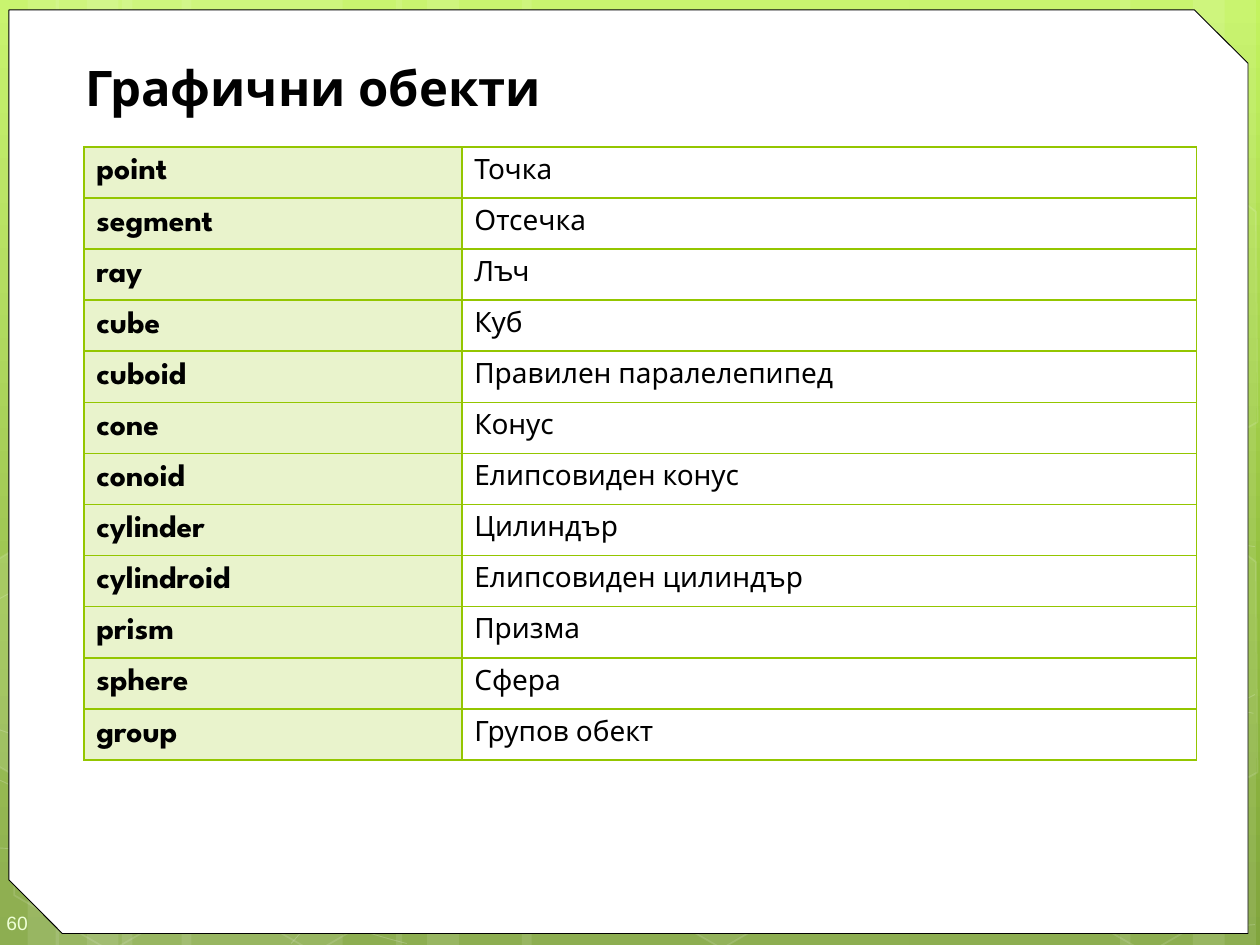
from lxml import etree
from pptx import Presentation
from pptx.dml.color import RGBColor
from pptx.enum.shapes import MSO_SHAPE
from pptx.enum.text import MSO_ANCHOR, MSO_AUTO_SIZE, PP_ALIGN
from pptx.oxml.ns import qn
from pptx.util import Cm, Pt

RECT, HEX, SNIP = MSO_SHAPE.RECTANGLE, MSO_SHAPE.HEXAGON, MSO_SHAPE.SNIP_2_DIAG_RECTANGLE
TOP, MID = MSO_ANCHOR.TOP, MSO_ANCHOR.MIDDLE
LEFT, FIXED = PP_ALIGN.LEFT, MSO_AUTO_SIZE.NONE

# Content
TITLE = "Графични обекти"
PAGE = "60"
ROWS = [
    ("point", "Точка"),
    ("segment", "Отсечка"),
    ("ray", "Лъч"),
    ("cube", "Куб"),
    ("cuboid", "Правилен паралелепипед"),
    ("cone", "Конус"),
    ("conoid", "Елипсовиден конус"),
    ("cylinder", "Цилиндър"),
    ("cylindroid", "Елипсовиден цилиндър"),
    ("prism", "Призма"),
    ("sphere", "Сфера"),
    ("group", "Групов обект"),
]

THEME = {
    "font": "League Spartan", "num_font": "Arial",
    "title": 28, "term": 18, "text": 16, "num": 11,
    "ink": "000000", "paper": "FFFFFF", "green": "94C600", "pale": "EEFFD6",
    "back": [(0, "C3F35F"), (62, "93BF3F"), (100, "81A53E")],
}

# Backdrop, in cm
BANDS = [  # left, width
    (2.46, 4.45), (-0.08, 1.27), (0.56, 2.11), (3.66, 4.45), (1.12, 1.27), (1.75, 2.11),
    (18.34, 4.45), (24.05, 1.27), (22.58, 2.11), (10.52, 7.82), (7.98, 1.27), (8.61, 2.11),
]
HEXES = [  # left, top, fill opacity, line opacity
    (8.26, 7.95, 10, 12), (10.26, 11.46, 0, 12), (10.29, 4.42, 7, 8), (8.2, 0.91, 4, 8),
    (12.32, 14.96, 6, 12), (0, 15.01, 0, 12), (0.08, 7.92, 7, 8), (2.08, 11.46, 0, 12),
    (4.11, 15.04, 0, 12), (4.19, 7.95, 7, 8), (2.13, 4.34, 0, 12), (18.85, 11.51, 10, 12),
    (20.9, 15.06, 0, 12), (20.9, 7.98, 7, 8),
]
EDGE = [(23.24, 12.32), (25.15, 11.2), (25.32, 11.33), (25.35, 15.57), (25.17, 15.67),
        (23.22, 14.55)]
CUT = [  # hexagons cut by the slide edge: points, fill opacity
    ([(-0.08, 11.3), (0.2, 11.13), (2.16, 12.24), (2.13, 14.48), (0.23, 15.6),
      (-0.08, 15.42)], 10),
    (EDGE, 4),
    ([(x, y - 7.06) for x, y in EDGE], 0),
]
CURVES = [  # start, then three Bezier points per piece
    [(-0.1, 17.09), (1.27, 17.17), (2.64, 17.25), (4.55, 17.22), (6.45, 17.2), (8.79, 17.15),
     (11.35, 16.89), (13.89, 16.64), (17.5, 16.15), (19.81, 15.67), (22.15, 15.19),
     (24.54, 14.43), (25.3, 14)],
    [(-0.1, 12.12), (0.64, 11.71), (1.37, 11.33), (2.79, 10.95), (4.24, 10.57), (6.27, 10.01),
     (8.53, 9.83), (10.8, 9.65), (13.54, 9.63), (16.33, 9.83), (19.13, 10.03),
     (23.77, 10.82), (25.3, 11.02)],
    [(-0.13, 15.67), (2.92, 17.07), (5.99, 18.47), (8.2, 19.02)],
    [(-0.1, 14.68), (0.69, 14.96), (1.5, 15.24), (2.97, 15.65), (4.45, 16.03), (6.65, 16.66),
     (8.76, 17.09), (10.9, 17.53), (13.56, 17.98), (15.67, 18.24), (17.75, 18.52),
     (20.04, 18.62), (21.36, 18.69), (22.71, 18.8), (23.06, 18.75), (23.72, 18.75),
     (24.36, 18.72), (24.84, 18.67), (25.3, 18.64)],
    [(5.87, 19.02), (6.32, 18.52), (6.78, 18.01), (7.39, 17.55), (8, 17.09), (8.86, 16.59),
     (9.55, 16.23), (10.26, 15.88), (10.72, 15.72), (11.63, 15.47), (12.57, 15.21),
     (14.27, 14.86), (15.16, 14.68), (16.05, 14.5), (16.21, 14.5), (16.99, 14.45),
     (17.78, 14.35), (19.02, 14.3), (19.89, 14.27), (20.75, 14.25), (22.23, 14.27),
     (22.23, 14.27), (22.78, 14.27), (23.34, 14.27), (23.9, 14.27), (24.38, 14.3),
     (24.82, 14.33), (25.04, 14.35), (25.25, 14.38), (25.17, 14.35), (25.27, 14.38)],
]


def rgb(name):
    return RGBColor.from_string(THEME.get(name, name))


def fade(node, pct):
    """Set the opacity of the solid fill directly inside node."""
    tone = node.find(qn("a:solidFill"))[0]
    etree.SubElement(tone, qn("a:alpha")).set("val", str(pct * 1000))


def veil(shape, fill=0, line=0, width=1):
    """Paint a shape in see-through white; 0 means none."""
    shape.shadow.inherit = False
    props = shape.element.spPr
    if fill:
        shape.fill.solid()
        shape.fill.fore_color.rgb = rgb("paper")
        fade(props, fill)
    else:
        shape.fill.background()
    if line:
        shape.line.color.rgb = rgb("paper")
        shape.line.width = Pt(width)
        fade(props.find(qn("a:ln")), line)
    else:
        shape.line.fill.background()


def trace(shapes, points, close):
    pts = [(Cm(x), Cm(y)) for x, y in points]
    pen = shapes.build_freeform(*pts[0])
    pen.add_line_segments(pts[1:], close=close)
    return pen.convert_to_shape()


def bend(shape):
    """Turn every three straight segments into one Bezier piece."""
    legs = list(shape.element.iter(qn("a:lnTo")))
    for i in range(0, len(legs), 3):
        piece = etree.Element(qn("a:cubicBezTo"))
        legs[i].addprevious(piece)
        for leg in legs[i:i + 3]:
            piece.append(leg[0])
            leg.getparent().remove(leg)
    return shape


def write(frame, text, size, bold=False, font="font", tone="ink"):
    frame.text = text
    para = frame.paragraphs[0]
    para.alignment = LEFT
    para.font.name = THEME[font]
    para.font.size = Pt(THEME[size])
    para.font.bold = bold
    para.font.color.rgb = rgb(tone)


def border(cell):
    props = cell._tc.get_or_add_tcPr()
    for i, side in enumerate(("a:lnL", "a:lnR", "a:lnT", "a:lnB")):
        line = etree.Element(qn(side), w=str(Pt(1)))
        fill = etree.SubElement(line, qn("a:solidFill"))
        etree.SubElement(fill, qn("a:srgbClr"), val=THEME["green"])
        props.insert(i, line)


def main():
    deck = Presentation()
    deck.slide_width, deck.slide_height = Cm(25.4), Cm(19.05)
    layout = deck.slide_layouts[5]
    slide = deck.slides.add_slide(layout)
    shapes = slide.shapes

    # Background gradient, with a third stop in the middle
    fill = slide.background.fill
    fill.gradient()
    fill.gradient_angle = 270
    first, mid, last = THEME["back"]
    for stop, (pos, tone) in zip(fill.gradient_stops, (first, last)):
        stop.position, stop.color.rgb = pos / 100, rgb(tone)
    stop = etree.Element(qn("a:gs"), pos=str(mid[0] * 1000))
    etree.SubElement(stop, qn("a:srgbClr"), val=mid[1])
    slide.element.find(".//" + qn("a:gsLst")).insert(1, stop)

    # Bands, curves and hexagons
    for x, w in BANDS:
        veil(shapes.add_shape(RECT, Cm(x), 0, Cm(w), deck.slide_height), 10)
    for curve in CURVES:
        veil(bend(trace(shapes, curve, False)), line=20, width=0.5)
    for x, y, tint, edge in HEXES:
        comb = shapes.add_shape(HEX, Cm(x), Cm(y), Cm(4.45), Cm(3.86))
        comb.adjustments[0], comb.rotation = 0.285, 30
        veil(comb, tint, edge)
    for points, tint in CUT:
        veil(trace(shapes, points, True), tint, 12)

    # White card
    card = shapes.add_shape(SNIP, Cm(0.18), Cm(0.2), Cm(24.98), Cm(18.62))
    card.adjustments[0], card.adjustments[1] = 0, 0.058
    card.shadow.inherit = False
    card.fill.solid()
    card.fill.fore_color.rgb = rgb("paper")
    card.line.color.rgb = rgb("ink")
    card.line.width = Pt(0.5)

    # The backdrop belongs to the layout, under ids of its own
    title = shapes.title
    decor = [s for s in shapes if not s.is_placeholder]
    for num, shape in enumerate(decor, 100):
        shape.element.nvSpPr.cNvPr.set("id", str(num))
        layout.shapes.element.append(shape.element)

    # Page number
    box = shapes.add_textbox(0, Cm(18.03), Cm(1.47), Cm(1.02))
    frame = box.text_frame
    frame.word_wrap, frame.vertical_anchor = True, MID
    frame.margin_left, frame.margin_right = Cm(0.13), 0
    frame.margin_top, frame.margin_bottom = Cm(0.38), Cm(0.25)
    write(frame, PAGE, "num", font="num_font", tone="pale")

    # Title
    title.left, title.top, title.width, title.height = Cm(1.27), Cm(1.04), Cm(23.93), Cm(17.81)
    frame = title.text_frame
    frame.auto_size, frame.vertical_anchor = FIXED, TOP
    frame.margin_left = Cm(0.45)
    write(frame, TITLE, "title", bold=True)

    # Table of terms
    grid = shapes.add_table(len(ROWS), 2, Cm(1.69), Cm(2.96), Cm(22.43), Cm(12.37)).table
    grid.first_row = grid.horz_banding = False
    grid.columns[0].width, grid.columns[1].width = Cm(7.62), Cm(14.81)
    for r, (term, text) in enumerate(ROWS):
        name, note = grid.cell(r, 0), grid.cell(r, 1)
        write(name.text_frame, term, "term", bold=True)
        write(note.text_frame, text, "text")
        name.fill.solid()
        name.fill.fore_color.rgb = rgb("green")
        fade(name._tc.tcPr, 20)
        note.fill.background()
        for cell in (name, note):
            cell.vertical_anchor = MID
            border(cell)

    deck.save("out.pptx")


if __name__ == "__main__":
    main()
